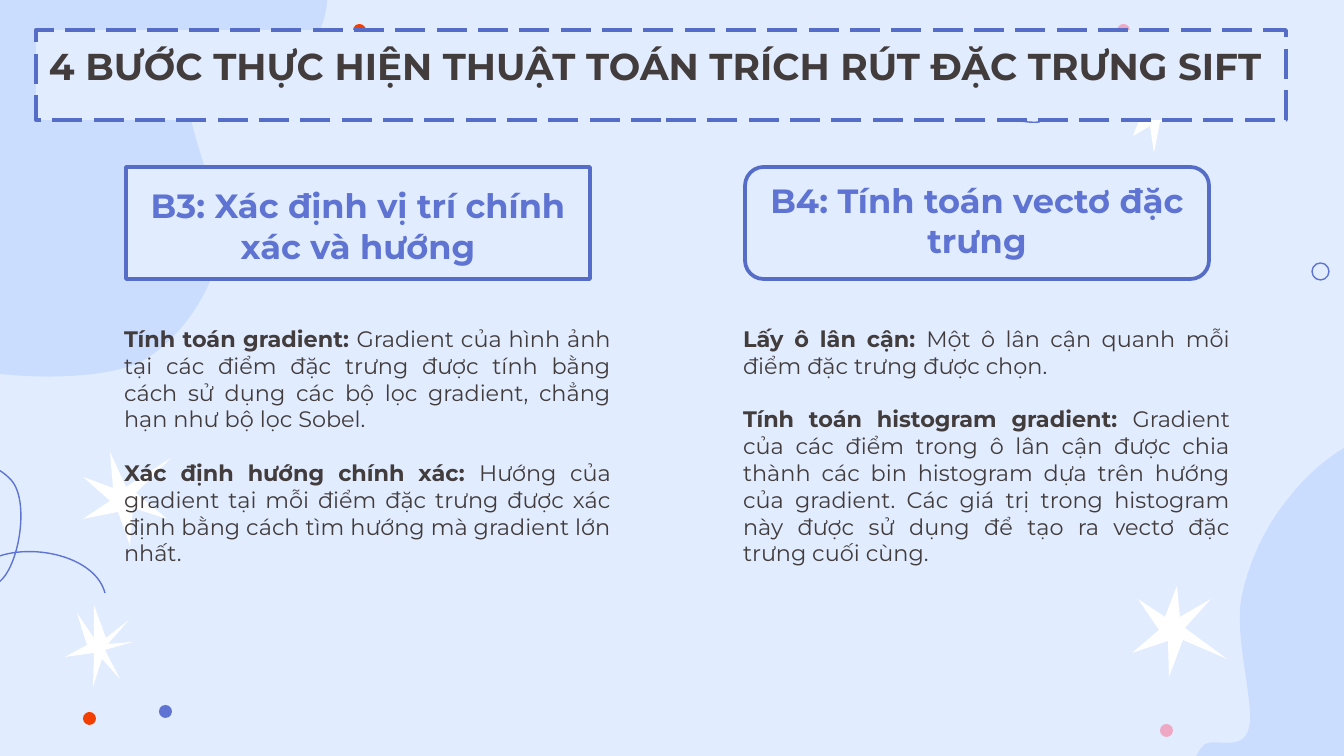
from dataclasses import dataclass

from lxml.etree import SubElement
from pptx import Presentation
from pptx.dml.color import RGBColor
from pptx.enum.dml import MSO_LINE
from pptx.enum.shapes import MSO_SHAPE
from pptx.enum.text import MSO_ANCHOR, PP_ALIGN
from pptx.oxml.ns import qn
from pptx.util import Emu, Pt

SCALE = 914400 / 134.4  # EMU per px
FONT = "Montserrat"
SKY, PALE, WHITE = "E1ECFF", "CADDFF", "FFFFFF"
BLUE, BORDER, DARK = "5E73D2", "556DC6", "423C3C"
RED, PINK = "F23F00", "EFA8C3"
INSET = 13

Point = tuple[int, int]


@dataclass
class Curve:
    start: Point
    segments: list[tuple[int, int, int, int, int, int]]  # two controls, end


@dataclass
class Dot:
    x: int
    y: int
    color: str


@dataclass
class Step:
    x: int
    preset: MSO_SHAPE
    heading: str
    notes: list[tuple[str, str]]  # bold lead, explanation


BLOBS = [
    Curve((-58, 337), [
        (-44, 360, -34, 370, 0, 374), (34, 378, 108, 380, 144, 360),
        (180, 339, 212, 293, 220, 249), (227, 204, 181, 124, 191, 94),
        (200, 66, 257, 81, 277, 73), (298, 63, 306, 55, 314, 42),
        (323, 28, 329, 5, 327, -8), (324, -22, 319, -32, 301, -40),
        (285, -48, 269, -51, 226, -55), (181, -58, 90, -67, 42, -60),
        (-8, -54, -50, -43, -70, -13), (-89, 17, -77, 81, -78, 121),
        (-78, 163, -79, 198, -77, 234), (-73, 269, -70, 314, -58, 337)]),
    Curve((1503, 438), [
        (1470, 418, 1415, 423, 1379, 433), (1344, 442, 1310, 470, 1288, 499),
        (1265, 527, 1248, 563, 1241, 601), (1235, 640, 1255, 706, 1249, 728),
        (1243, 753, 1214, 737, 1204, 745), (1195, 754, 1191, 769, 1191, 780),
        (1192, 792, 1195, 805, 1210, 814), (1226, 823, 1239, 832, 1286, 833),
        (1332, 835, 1445, 828, 1488, 824), (1530, 820, 1530, 825, 1542, 808),
        (1554, 790, 1556, 765, 1559, 723), (1563, 680, 1577, 605, 1567, 556),
        (1558, 509, 1535, 460, 1503, 438)]),
]
SWIRLS = [
    Curve((-133, 481), [
        (-90, 460, -19, 445, 12, 481), (34, 508, 12, 601, -17, 583),
        (-23, 581, -24, 570, -19, 566), (13, 539, 94, 551, 105, 593)]),
    Curve((829, 54), [
        (868, 69, 910, 90, 952, 81), (972, 77, 1015, 48, 997, 38),
        (982, 28, 961, 63, 966, 79), (976, 106, 1012, 125, 1040, 122)]),
]
STARS = [
    [(167, 519), (133, 508), (130, 546), (118, 512), (83, 519), (110, 501),
     (83, 477), (113, 488), (110, 452), (126, 487), (171, 458), (136, 493)],
    [(77, 613), (94, 638), (94, 605), (106, 638), (129, 620), (108, 644), (133, 642),
     (105, 650), (120, 679), (102, 659), (93, 687), (94, 653), (65, 657), (87, 645)],
    [(1133, 136), (1150, 126), (1154, 153), (1160, 122), (1191, 116), (1161, 109),
     (1167, 81), (1150, 98), (1134, 87), (1142, 110), (1117, 112), (1140, 118)],
    [(1169, 677), (1168, 641), (1132, 653), (1159, 630), (1138, 599), (1165, 617),
     (1177, 586), (1180, 617), (1211, 599), (1185, 628), (1227, 659), (1183, 640)],
]
DOTS = [Dot(159, 705, BLUE), Dot(83, 712, RED), Dot(1160, 724, PINK),
        Dot(1117, 24, PINK), Dot(353, 24, RED)]
STEPS = [
    Step(111, MSO_SHAPE.RECTANGLE, "B3: Xác định vị trí chính xác và hướng", [
        ("Tính toán gradient: ",
         "Gradient của hình ảnh tại các điểm đặc trưng được tính bằng cách sử dụng "
         "các bộ lọc gradient, chẳng hạn như bộ lọc Sobel."),
        ("Xác định hướng chính xác: ",
         "Hướng của gradient tại mỗi điểm đặc trưng được xác định bằng cách tìm "
         "hướng mà gradient lớn nhất.")]),
    Step(730, MSO_SHAPE.ROUNDED_RECTANGLE, "B4: Tính toán vectơ đặc trưng", [
        ("Lấy ô lân cận: ", "Một ô lân cận quanh mỗi điểm đặc trưng được chọn."),
        ("Tính toán histogram gradient: ",
         "Gradient của các điểm trong ô lân cận được chia thành các bin histogram "
         "dựa trên hướng của gradient. Các giá trị trong histogram này được sử dụng "
         "để tạo ra vectơ đặc trưng cuối cùng.")]),
]


def px(n: int) -> Emu:
    return Emu(round(n * SCALE))


def rgb(color: str) -> RGBColor:
    return RGBColor.from_string(color)


def style(sp, fill: str | None = None, line: str | None = None, width: float = 0.75) -> None:
    sp.shadow.inherit = False
    if fill:
        sp.fill.solid()
        sp.fill.fore_color.rgb = rgb(fill)
    else:
        sp.fill.background()
    if line:
        sp.line.color.rgb = rgb(line)
        sp.line.width = Pt(width)
    else:
        sp.line.fill.background()


def add_outline(s, points: list[Point], close: bool = True, **look):
    emu = [(px(x), px(y)) for x, y in points]
    builder = s.shapes.build_freeform(*emu[0])
    builder.add_line_segments(emu[1:], close=close)
    sp = builder.convert_to_shape()
    style(sp, **look)
    return sp


def add_curve(s, curve: Curve, close: bool = True, **look) -> None:
    """Draw the anchors as a freeform, then bend each side into a cubic Bézier."""
    anchors = [curve.start] + [seg[4:] for seg in curve.segments]
    sp = add_outline(s, anchors, close, **look)
    sides = list(sp._element.iter(qn("a:lnTo")))
    for side, seg in zip(sides, curve.segments):
        side.clear()
        side.tag = qn("a:cubicBezTo")
        for x, y in zip(seg[::2], seg[1::2]):
            SubElement(side, qn("a:pt"), x=str(px(x) - sp.left), y=str(px(y) - sp.top))


def add_preset(s, preset: MSO_SHAPE, x: int, y: int, w: int, h: int, **look):
    sp = s.shapes.add_shape(preset, px(x), px(y), px(w), px(h))
    style(sp, **look)
    return sp


def set_frame(sp, anchor: MSO_ANCHOR):
    tf = sp.text_frame
    tf.word_wrap = True
    tf.vertical_anchor = anchor
    tf.margin_left = tf.margin_right = tf.margin_top = tf.margin_bottom = px(INSET)
    return tf


def add_run(p, text: str, size: int, color: str, bold: bool) -> None:
    r = p.add_run()
    r.text = text
    r.font.name, r.font.size, r.font.bold = FONT, Pt(size), bold
    r.font.color.rgb = rgb(color)


def add_step(s, step: Step) -> None:
    # Explanations
    body = s.shapes.add_textbox(px(step.x), px(312), px(513), px(356))
    tf = set_frame(body, MSO_ANCHOR.TOP)
    for i, (lead, detail) in enumerate(step.notes):
        p = tf.add_paragraph() if i else tf.paragraphs[0]
        p.alignment = PP_ALIGN.JUSTIFY
        p.space_before = Pt(14.2 if i else 0)
        add_run(p, lead, 12, DARK, True)
        add_run(p, detail, 12, DARK, False)
    # Heading box
    box = add_preset(s, step.preset, step.x + 15, 167, 464, 112,
                     fill=SKY, line=BORDER, width=2)
    p = set_frame(box, MSO_ANCHOR.BOTTOM).paragraphs[0]
    p.alignment = PP_ALIGN.CENTER
    add_run(p, step.heading, 18, BLUE, True)


def main() -> None:
    prs = Presentation()
    prs.slide_width, prs.slide_height = px(1344), px(756)
    s = prs.slides.add_slide(prs.slide_layouts[6])
    s.background.fill.solid()
    s.background.fill.fore_color.rgb = rgb(SKY)

    # Background decoration
    for blob in BLOBS:
        add_curve(s, blob, fill=PALE)
    for star in STARS:
        add_outline(s, star, fill=WHITE)
    for dot in DOTS:
        add_preset(s, MSO_SHAPE.OVAL, dot.x, dot.y, 13, 13, fill=dot.color)
    add_preset(s, MSO_SHAPE.OVAL, 1312, 263, 17, 17, line=BLUE)
    for swirl in SWIRLS:
        add_curve(s, swirl, close=False, line=BLUE)

    # Title
    title = add_preset(s, MSO_SHAPE.RECTANGLE, 36, 30, 1250, 90,
                       fill=SKY, line=BORDER, width=2)
    title.line.dash_style = MSO_LINE.LONG_DASH
    p = set_frame(title, MSO_ANCHOR.TOP).paragraphs[0]
    p.alignment = PP_ALIGN.LEFT
    add_run(p, "4 BƯỚC THỰC HIỆN THUẬT TOÁN TRÍCH RÚT ĐẶC TRƯNG SIFT", 20, DARK, True)

    # Steps
    for step in STEPS:
        add_step(s, step)
    prs.save("out.pptx")


if __name__ == "__main__":
    main()
